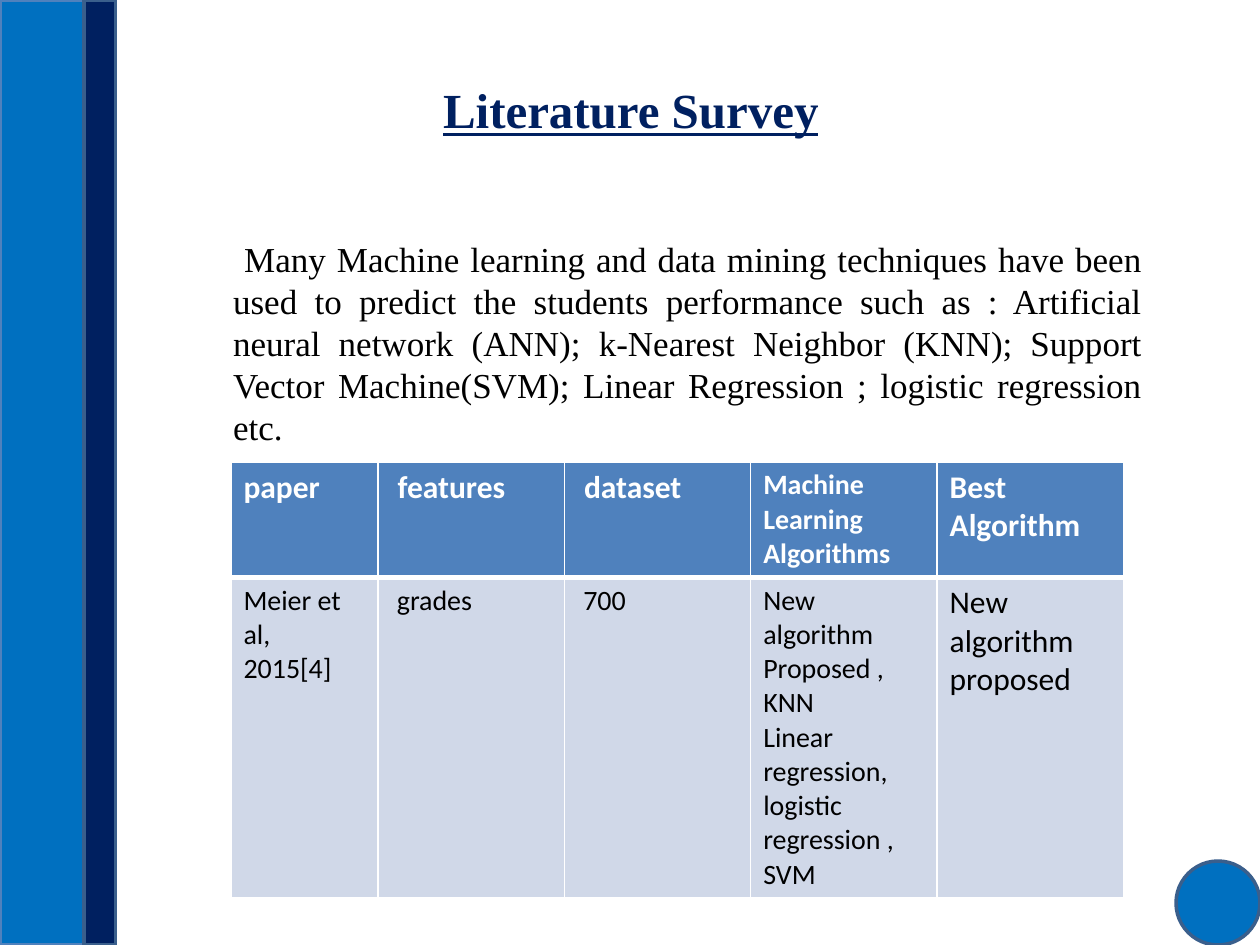
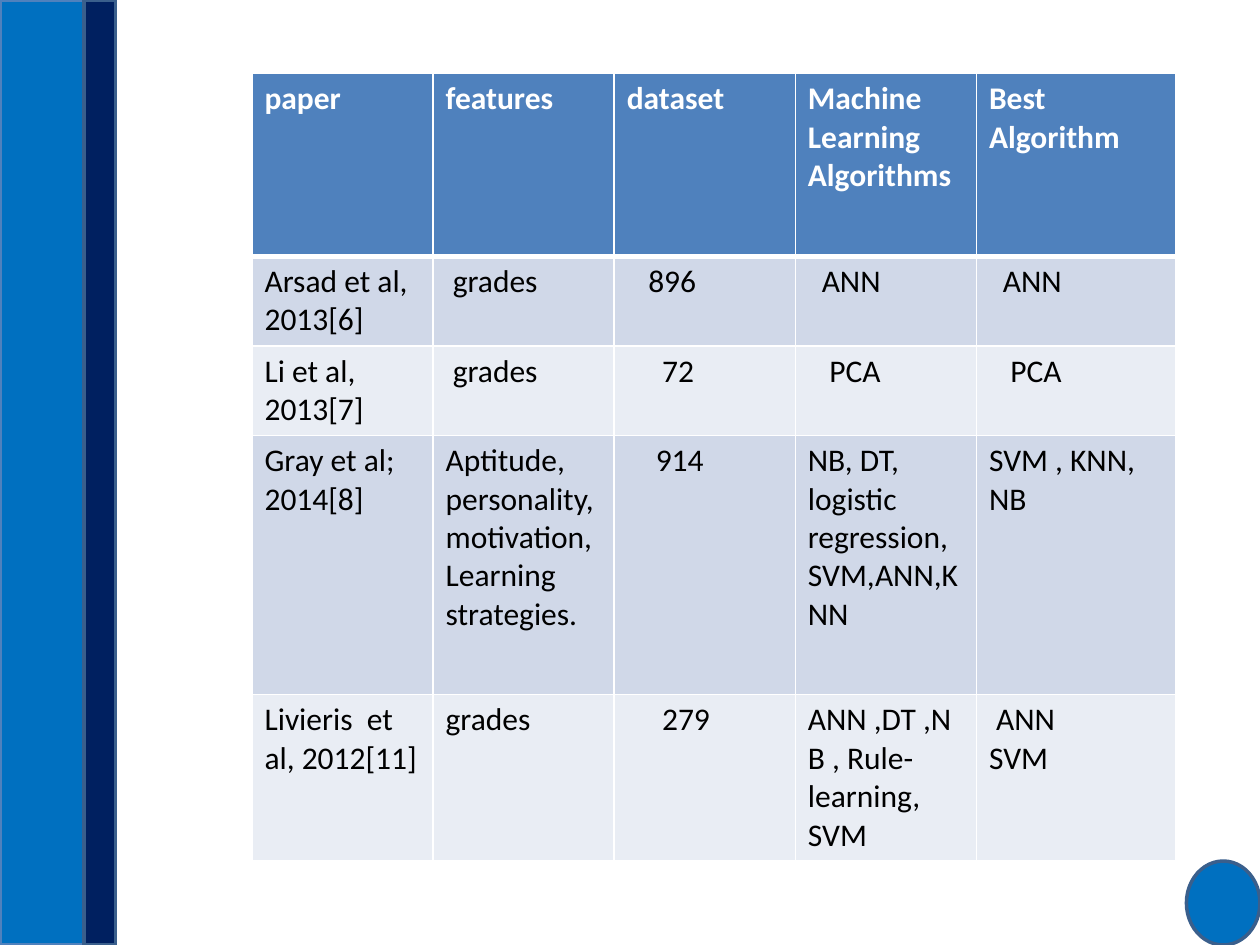
from dataclasses import dataclass
from lxml.etree import SubElement
from pptx import Presentation
from pptx.dml.color import RGBColor
from pptx.enum.shapes import MSO_SHAPE as Shape
from pptx.enum.text import MSO_ANCHOR as Anchor, MSO_AUTO_SIZE as AutoSize, PP_ALIGN as Align
from pptx.oxml import parse_xml
from pptx.oxml.ns import nsdecls, qn
from pptx.util import Inches, Pt

COLORS = {
    "white": "FFFFFF", "black": "000000", "blue": "0070C0", "navy": "002060",
    "edge": "3A5F8C", "header": "4F81BD", "odd": "D0D8E8", "even": "E9EDF4",
}
SERIF, SANS = "Times New Roman", "Calibri"
COLUMNS, ROWS = 120, 90
LAYOUT_CONTENT, LAYOUT_BLANK = 1, 6


@dataclass
class Cell:
    text: str
    size: float = 18
    indent: float = 0


def color(name):
    return RGBColor.from_string(COLORS[name])


def write(frame, text, size=18, font=SANS, ink="black", bold=False,
          underline=False, align=Align.LEFT, indent=0):
    """Fill a text frame, one paragraph per line; indent (inches) moves first lines."""
    frame.word_wrap = True
    for number, line in enumerate(text.split("\n")):
        para = frame.add_paragraph() if number else frame.paragraphs[0]
        para.alignment = align
        para.space_before = Pt(0)
        properties = para._p.get_or_add_pPr()
        properties.set("marL", "0")
        properties.set("indent", str(Inches(indent)))
        SubElement(properties, qn("a:buNone"))
        span = para.add_run()
        span.text = line
        span.font.name, span.font.size = font, Pt(size)
        span.font.bold, span.font.underline = bold, underline
        span.font.color.rgb = color(ink)


def set_borders(cell, **widths):
    """Draw white cell edges; widths are points for L, R, T and B."""
    properties = cell._tc.get_or_add_tcPr()
    for place, (side, width) in enumerate(widths.items()):
        properties.insert(place, parse_xml(
            f'<a:ln{side} {nsdecls("a")} w="{Pt(width)}"><a:solidFill>'
            f'<a:srgbClr val="{COLORS["white"]}"/></a:solidFill></a:ln{side}>'))


class SurveyDeck:
    """Deck style and current slide; lengths are in grid columns and rows."""

    def __init__(self):
        self.deck = Presentation()
        self.deck.slide_width, self.deck.slide_height = Inches(10), Inches(7.5)
        self.page = None

    def across(self, columns):
        return round(self.deck.slide_width * columns / COLUMNS)

    def down(self, rows):
        return round(self.deck.slide_height * rows / ROWS)

    def area(self, left, top, width, height):
        return self.across(left), self.down(top), self.across(width), self.down(height)

    def new_page(self, layout):
        self.page = self.deck.slides.add_slide(self.deck.slide_layouts[layout])

    def placeholder(self, box, place, text, **style):
        box.left, box.top, box.width, box.height = self.area(*place)
        box.text_frame.auto_size = AutoSize.NONE
        box.text_frame.vertical_anchor = Anchor.TOP
        write(box.text_frame, text, font=SERIF, **style)

    def title(self, text, place):
        self.placeholder(self.page.shapes.title, place, text, size=28,
                         ink="navy", bold=True, underline=True)

    def body(self, text, place):
        self.placeholder(self.page.placeholders[1], place, text, size=20,
                         align=Align.JUSTIFY)

    def shape(self, kind, place, fill, line):
        shape = self.page.shapes.add_shape(kind, *self.area(*place))
        shape.shadow.inherit = False
        shape.fill.solid()
        shape.fill.fore_color.rgb = color(fill)
        shape.line.color.rgb = color(line)
        shape.line.width = Pt(2)

    def decorate(self, disc_width):
        """Side bands and the disc in the bottom right corner."""
        self.shape(Shape.OVAL, (COLUMNS - disc_width, 82, disc_width, 8), "blue", "edge")
        self.shape(Shape.RECTANGLE, (0, 0, 8, ROWS), "blue", "header")
        self.shape(Shape.RECTANGLE, (8, 0, 3, ROWS), "navy", "edge")

    def table(self, left, top, widths, heights, records):
        table = self.page.shapes.add_table(
            len(heights), len(widths),
            *self.area(left, top, sum(widths), sum(heights))).table
        table.horz_banding = False
        for column, width in zip(table.columns, widths):
            column.width = self.across(width)
        for row, height in zip(table.rows, heights):
            row.height = self.down(height)
        for r, record in enumerate(records):
            header = r == 0
            fill = "header" if header else ("even", "odd")[r % 2]
            for c, entry in enumerate(record):
                entry = Cell(entry) if isinstance(entry, str) else entry
                cell = table.cell(r, c)
                cell.fill.solid()
                cell.fill.fore_color.rgb = color(fill)
                set_borders(cell, L=1, R=1, T=3 if r == 1 else 1, B=3 if header else 1)
                write(cell.text_frame, entry.text, size=entry.size, bold=header,
                      ink="white" if header else "black", indent=entry.indent)


def main():
    survey = SurveyDeck()

    # Survey introduction and first paper
    survey.new_page(LAYOUT_CONTENT)
    survey.body(
        " Many Machine learning and data mining techniques have been used to predict "
        "the students performance such as : Artificial neural network (ANN); "
        "k-Nearest Neighbor (KNN); Support Vector Machine(SVM); Linear Regression ; "
        "logistic regression etc.", (21, 22, 89, 21.4))
    survey.table(22, 44, [14] + [17.75] * 4, [10.6, 29.3], [
        ["paper", " features", " dataset",
         Cell("Machine\nLearning\nAlgorithms", 16), "Best Algorithm"],
        [Cell("Meier et al,\n2015[4]", 16), Cell(" grades", 16), Cell(" 700", 16),
         Cell("New algorithm\nProposed , KNN\n"
              "Linear regression, logistic regression , SVM", 16),
         "New algorithm proposed"],
    ])
    survey.decorate(disc_width=8)
    survey.title("Literature Survey", (41, 7, 52, 6.8))

    # Further papers
    survey.new_page(LAYOUT_BLANK)
    survey.table(24, 7, [17.25] * 4 + [19], [17.4, 7.9, 8.3, 24.7, 14.6], [
        ["paper", "features", "dataset", "Machine\nLearning\nAlgorithms", "Best Algorithm"],
        ["Arsad et al, 2013[6]", " grades", Cell("896", indent=0.17),
         Cell("ANN", indent=0.11), Cell("ANN", indent=0.11)],
        ["Li et al, 2013[7]", " grades", Cell("72", indent=0.28),
         Cell("PCA", indent=0.17), Cell("PCA", indent=0.17)],
        ["Gray et al; 2014[8]",
         "Aptitude, personality, motivation,\nLearning strategies.",
         Cell("914", indent=0.23), "NB, DT, logistic regression, SVM,ANN,KNN",
         "SVM , KNN, NB"],
        ["Livieris  et al, 2012[11]", "grades", Cell("279", indent=0.28),
         "ANN ,DT ,NB , Rule- learning, SVM", " ANN\nSVM"],
    ])
    survey.decorate(disc_width=7)

    survey.deck.save("out.pptx")


if __name__ == "__main__":
    main()
